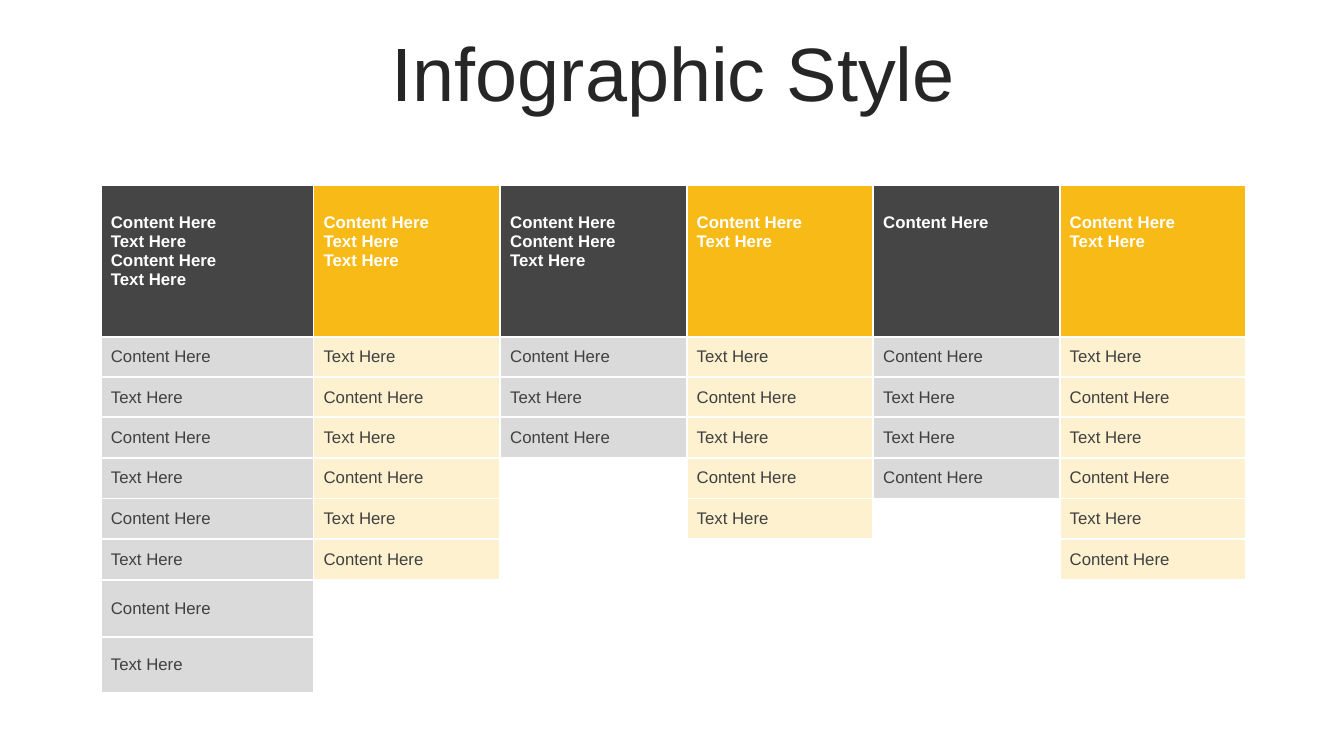
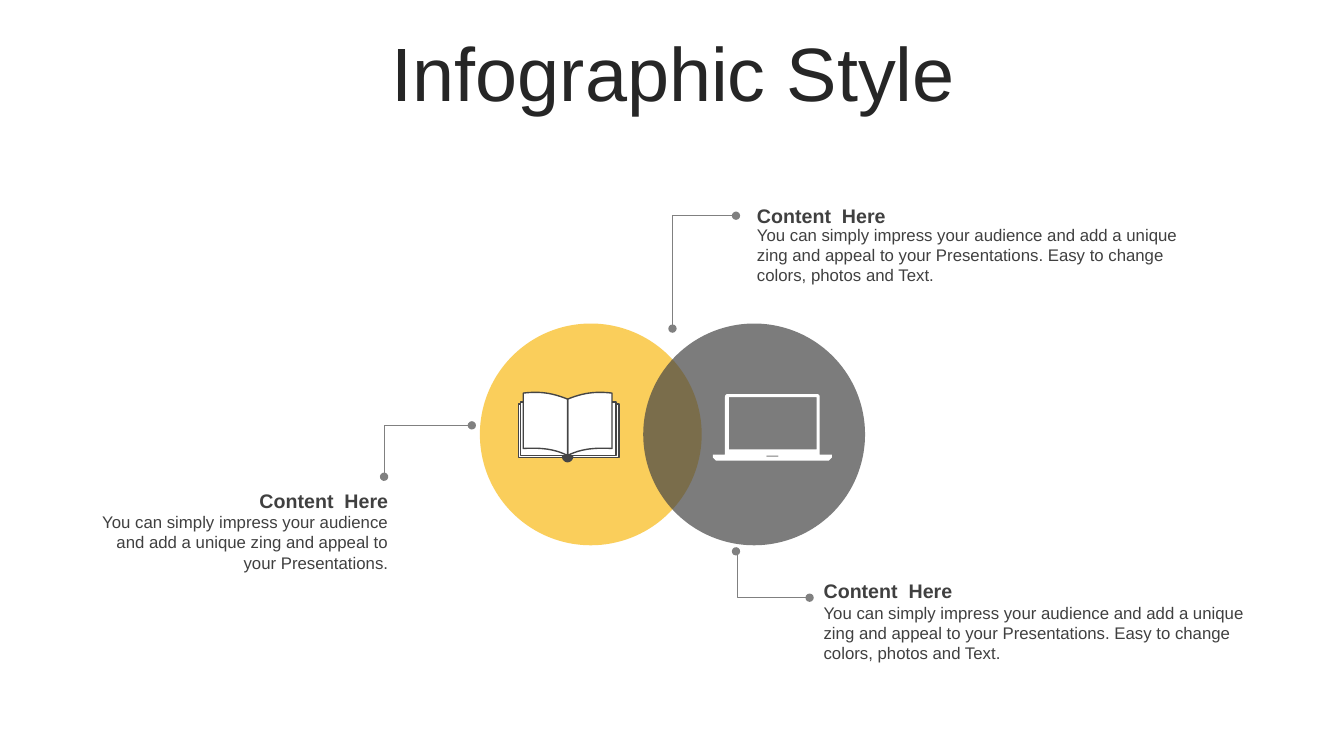
from pptx import Presentation
from pptx.dml.color import RGBColor
from pptx.enum.shapes import MSO_CONNECTOR, MSO_SHAPE
from pptx.enum.text import MSO_ANCHOR, MSO_AUTO_SIZE, PP_ALIGN
from pptx.oxml import parse_xml
from pptx.oxml.ns import nsdecls, qn
from pptx.util import Inches, Pt
from lxml.etree import SubElement

# Shared look
HUES = {"white": "FFFFFF", "dark": "454545", "gold": "F8BA16", "gray": "DADADA",
        "cream": "FEF1D0", "title": "262626", "text": "404040", "line": "808080"}
FONTS = {
    "title": ({"name": "Arial", "size": Pt(54), "bold": False}, "title"),
    "top": ({"name": "Arial", "size": Pt(12), "bold": True}, "white"),
    "head": ({"name": "Arial", "size": Pt(14), "bold": True}, "text"),
    "body": ({"name": "Arial", "size": Pt(12), "bold": False}, "text"),
}
WORDS = {"C": "Content Here", "T": "Text Here"}
# Each column: header lines, then body cells
COLS = [("CTCT", "CTCTCTCT"), ("CTT", "TCTCTC"), ("CCT", "CTC"),
        ("CT", "TCTCT"), ("C", "CTTC"), ("CT", "TCTCTC")]
SHORT = "You can simply impress your audience and add a unique zing and appeal to your Presentations."
LONG = SHORT + " Easy to change colors, photos and Text."


def hue(name):
    return RGBColor.from_string(HUES[name])


def apply(item, values):
    for key, value in values.items():
        setattr(item, key, value)


def write(frame, text, style, align=PP_ALIGN.LEFT):
    frame.text = text
    values, tone = FONTS[style]
    for para in frame.paragraphs:
        para.alignment = align
        for run in para.runs:
            apply(run.font, values)
            run.font.color.rgb = hue(tone)


def start(prs):
    slide = prs.slides.add_slide(prs.slide_layouts[5])
    title = slide.shapes.title
    apply(title, {"left": Inches(0.35), "top": Inches(0.37),
                  "width": Inches(12.66), "height": Inches(0.79)})
    frame = title.text_frame
    apply(frame, {"auto_size": MSO_AUTO_SIZE.NONE, "word_wrap": True,
                  "vertical_anchor": MSO_ANCHOR.MIDDLE})
    write(frame, "Infographic Style", "title", PP_ALIGN.CENTER)
    frame.paragraphs[0].line_spacing = 0.9
    return slide


def paint(shape, fill, line=None, alpha=None):
    shape.shadow.inherit = False
    shape.fill.solid()
    shape.fill.fore_color.rgb = hue(fill)
    if alpha:
        tone = shape.fill._xPr.find(qn("a:solidFill"))[0]
        SubElement(tone, qn("a:alpha"), val=str(alpha * 1000))
    if line:
        shape.line.color.rgb = hue(line)
        shape.line.width = Pt(1)
    else:
        shape.line.fill.background()


# Table
def edge(cell):
    props = cell._tc.get_or_add_tcPr()
    for side in "LRTB":
        props.append(parse_xml(
            f'<a:ln{side} {nsdecls("a")} w="19050"><a:solidFill>'
            f'<a:srgbClr val="{HUES["white"]}"/></a:solidFill></a:ln{side}>'))


def fill(cell, text, tone, style):
    cell.fill.solid()
    cell.fill.fore_color.rgb = hue(tone)
    cell.vertical_anchor = MSO_ANCHOR.MIDDLE
    write(cell.text_frame, text, style)


def grid(slide):
    wides = [2.11] + [1.85] * 5
    highs = [1.5] + [0.4] * 6 + [0.56] * 2
    table = slide.shapes.add_table(
        len(highs), len(wides), Inches(1), Inches(1.84),
        Inches(sum(wides)), Inches(sum(highs))).table
    apply(table, {"first_row": False, "horz_banding": False})
    for row, high in zip(table.rows, highs):
        row.height = Inches(high)
    for col, wide in zip(table.columns, wides):
        col.width = Inches(wide)
    for x, (head, body) in enumerate(COLS):
        deep, pale = (("dark", "gray"), ("gold", "cream"))[x % 2]
        for y in range(len(highs)):
            cell = table.cell(y, x)
            edge(cell)
            if y == 0:
                fill(cell, "\n".join(WORDS[key] for key in head), deep, "top")
                apply(cell, {"vertical_anchor": MSO_ANCHOR.TOP,
                             "margin_top": Inches(0.28)})
            elif y <= len(body):
                fill(cell, WORDS[body[y - 1]], pale, "body")
            else:
                cell.fill.background()


# Diagram parts
def form(slide, kind, x, y, wide, high, tone, **look):
    shape = slide.shapes.add_shape(
        kind, Inches(x), Inches(y), Inches(wide), Inches(high))
    paint(shape, tone, **look)


def link(slide, x1, y1, x2, y2, bend):
    line = slide.shapes.add_connector(
        MSO_CONNECTOR.ELBOW, Inches(x1), Inches(y1), Inches(x2), Inches(y2))
    line.line.color.rgb = hue("line")
    line.line.width = Pt(0.5)
    props = line._element.spPr
    SubElement(props.find(qn("a:prstGeom")).find(qn("a:avLst")), qn("a:gd"),
               name="adj1", fmla=f"val {bend}")
    for end in ("a:headEnd", "a:tailEnd"):
        SubElement(props.find(qn("a:ln")), qn(end), type="oval")
    SubElement(props, qn("a:effectLst"))


def note(slide, x, y, wide, gap, text, align=PP_ALIGN.LEFT):
    parts = [(y, 0.34, "Content  Here", "head"), (y + gap, 0.71, text, "body")]
    for top, high, words, style in parts:
        box = slide.shapes.add_textbox(
            Inches(x), Inches(top), Inches(wide), Inches(high))
        box.text_frame.word_wrap = True
        write(box.text_frame, words, style, align)


def curve(a, b, c, d, steps=12):
    def at(t, i):
        u = 1 - t
        return u**3 * a[i] + 3 * u * u * t * b[i] + 3 * u * t * t * c[i] + t**3 * d[i]
    return [(at(n / steps, 0), at(n / steps, 1)) for n in range(steps + 1)]


def ring(x1, y1, x2, y2):
    return [(x1, y1), (x1, y2), (x2, y2), (x2, y1)]


def free(slide, loops, tone, line=None):
    loops = [[(Inches(x), Inches(y)) for x, y in loop] for loop in loops]
    pen = slide.shapes.build_freeform(*loops[0][0])
    for n, loop in enumerate(loops):
        if n:
            pen.move_to(*loop[0])
        pen.add_line_segments(loop[1:], close=True)
    paint(pen.convert_to_shape(), tone, line)


def book(slide):
    for x, y, wide in ((5.14, 4.01, 1), (5.16, 3.99, 0.95)):
        form(slide, MSO_SHAPE.RECTANGLE, x, y, wide, 0.53, "white", line="dark")
    mid = 5.63
    page = (curve((0, 3.96), (0.15, 3.9), (0.27, 3.88), (0.44, 3.9))
            + curve((0.44, 4.45), (0.29, 4.44), (0.13, 4.45), (0, 4.52)))
    for side in (1, -1):
        free(slide, [[(mid + side * x, y) for x, y in page]], "white", "dark")
    knob = (curve((5.68, 4.53), (5.68, 4.55), (5.66, 4.58), (mid, 4.58))
            + curve((mid, 4.58), (5.6, 4.58), (5.58, 4.55), (5.58, 4.53)))
    free(slide, [knob], "dark", "dark")


def laptop(slide):
    mid = 7.66
    half = (curve((0.44, 3.91), (0.46, 3.91), (0.47, 3.92), (0.47, 3.94), 4)
            + [(0.47, 4.51), (0.59, 4.51), (0.59, 4.54), (0.56, 4.57)])
    rim = ([(mid + x, y) for x, y in half]
           + [(mid - x, y) for x, y in reversed(half)])
    free(slide, [rim, ring(7.23, 3.94, 8.1, 4.46), ring(7.6, 4.52, 7.72, 4.53)],
         "white")


def venn(slide):
    for x, tone in ((4.76, "gold"), (6.38, "dark")):
        form(slide, MSO_SHAPE.OVAL, x, 3.21, 2.2, 2.2, tone, alpha=70)
    # Callouts
    link(slide, 6.67, 3.26, 7.3, 2.14, 0)
    link(slide, 3.81, 4.73, 4.68, 4.22, 700)
    link(slide, 7.3, 5.47, 8.03, 5.93, 1800)
    note(slide, 7.41, 1.97, 4.53, 0.21, LONG)
    note(slide, 8.07, 5.69, 4.51, 0.24, LONG)
    note(slide, 0.89, 4.8, 3.06, 0.23, SHORT, PP_ALIGN.RIGHT)
    # Icons
    book(slide)
    laptop(slide)


def main():
    prs = Presentation()
    apply(prs, {"slide_width": Inches(13.33), "slide_height": Inches(7.5)})
    for draw in (grid, venn):
        draw(start(prs))
    prs.save("out.pptx")


if __name__ == "__main__":
    main()
